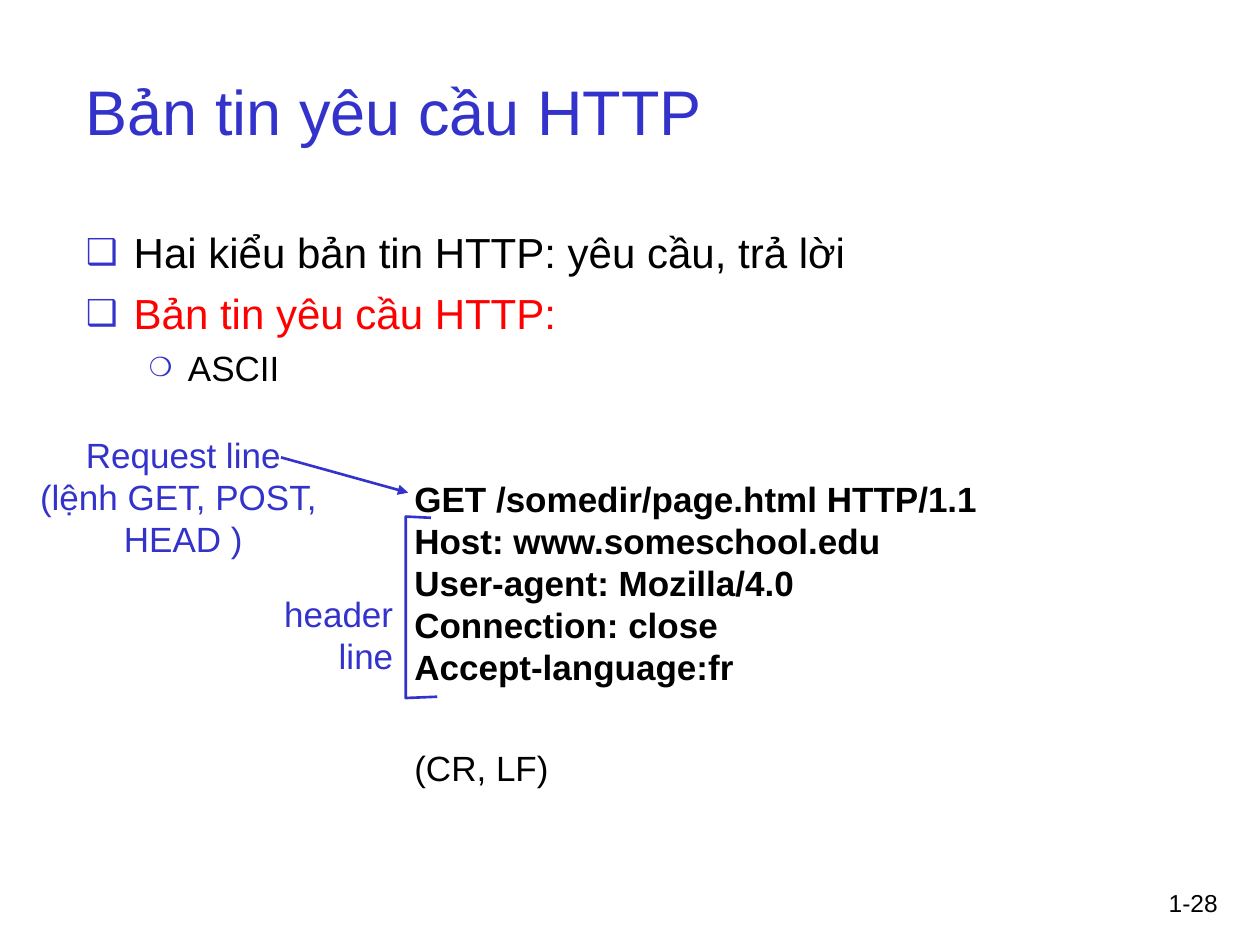
import dataclasses

import lxml.etree
import pptx
import pptx.dml.color
import pptx.enum.shapes
import pptx.enum.text
import pptx.oxml.ns
import pptx.util

ALIGN = pptx.enum.text.PP_ALIGN
ANCHOR = pptx.enum.text.MSO_ANCHOR


@dataclasses.dataclass(frozen=True)
class Theme:
    font: str = "Arial"
    ink: str = "000000"
    accent: str = "3333CC"
    alert: str = "FF0000"
    title: int = 36
    body: int = 24
    detail: int = 20
    footer: int = 14
    stroke: float = 1.5
    leading: float = 1.2


@dataclasses.dataclass
class Line:
    """One paragraph of text; bullet is (character, size %, indent, hanging)."""
    text: str
    size: int
    color: str
    bold: bool = False
    bullet: tuple = ()
    before: float = 0
    leading: float = 0


def rgb(color):
    return pptx.dml.color.RGBColor.from_string(color)


def add_child(parent, tag, **attributes):
    return lxml.etree.SubElement(parent, pptx.oxml.ns.qn(tag), **attributes)


class SlideBuilder:
    """Places elements on a grid of 120 columns by 90 rows."""
    columns, rows = 120, 90

    def __init__(self, deck, theme):
        self.theme = theme
        self.page = deck.slides.add_slide(deck.slide_layouts[6])
        self.column = deck.slide_width / self.columns
        self.row = deck.slide_height / self.rows

    def point(self, x, y):
        return round(x * self.column), round(y * self.row)

    def text(self, place, lines, align=ALIGN.LEFT, anchor=ANCHOR.TOP, wrap=True):
        left, top, width, height = place
        box = self.page.shapes.add_textbox(*self.point(left, top), *self.point(width, height))
        frame = box.text_frame
        frame.word_wrap = wrap
        frame.vertical_anchor = anchor
        for index, line in enumerate(lines):
            para = frame.paragraphs[0] if index == 0 else frame.add_paragraph()
            if line.bullet:
                self.bullet(para, *line.bullet)
            para.alignment = align
            para.space_before = pptx.util.Pt(line.before)
            para.line_spacing = pptx.util.Pt(line.leading or line.size * self.theme.leading)
            span = para.add_run()
            span.text = line.text
            span.font.name = self.theme.font
            span.font.size = pptx.util.Pt(line.size)
            span.font.bold = line.bold
            span.font.color.rgb = rgb(line.color)

    def bullet(self, para, character, percent, indent, hanging):
        properties = para._p.get_or_add_pPr()
        properties.set("marL", str(pptx.util.Inches(indent)))
        properties.set("indent", str(-pptx.util.Inches(hanging)))
        color = add_child(properties, "a:buClr")
        add_child(color, "a:srgbClr", val=self.theme.accent)
        add_child(properties, "a:buSzPct", val=str(percent * 1000))
        add_child(properties, "a:buFont", typeface=self.theme.font)
        add_child(properties, "a:buChar", char=character)

    def stroke(self, shape):
        shape.line.color.rgb = rgb(self.theme.accent)
        shape.line.width = pptx.util.Pt(self.theme.stroke)

    def arrow(self, start, end):
        straight = pptx.enum.shapes.MSO_CONNECTOR.STRAIGHT
        arrow = self.page.shapes.add_connector(straight, *self.point(*start), *self.point(*end))
        self.stroke(arrow)
        add_child(arrow.line._get_or_add_ln(), "a:tailEnd", type="triangle")
        add_child(arrow._element.spPr, "a:effectLst")

    def outline(self, points):
        start, *others = [self.point(*corner) for corner in points]
        builder = self.page.shapes.build_freeform(*start)
        builder.add_line_segments(others, close=False)
        outline = builder.convert_to_shape()
        outline.fill.background()
        outline.shadow.inherit = False
        self.stroke(outline)


def main():
    deck = pptx.Presentation()
    deck.slide_width = pptx.util.Inches(10)
    deck.slide_height = pptx.util.Inches(7.5)
    theme = Theme()
    slide = SlideBuilder(deck, theme)

    slide.text((109, 84, 8.16, 6), [Line("1-28", theme.footer, theme.ink)], ALIGN.RIGHT)
    slide.text((7, 3, 102, 15), [Line("Bản tin yêu cầu HTTP", theme.title, theme.accent)],
               anchor=ANCHOR.MIDDLE)

    square, circle = ("❑", 85, 0.38, 0.38), ("❍", 75, 0.81, 0.31)
    slide.text((7, 21, 102, 61), [
        Line("Hai kiểu bản tin HTTP: yêu cầu, trả lời", theme.body, theme.ink, bullet=square),
        Line("Bản tin yêu cầu HTTP:", theme.body, theme.alert, bullet=square, before=6),
        Line("ASCII", theme.detail, theme.ink, bullet=circle, before=5),
    ])

    request = [
        "GET /somedir/page.html HTTP/1.1",
        "Host: www.someschool.edu",
        "User-agent: Mozilla/4.0",
        "Connection: close",
        "Accept-language:fr",
    ]
    message = [Line(text, theme.detail, theme.ink, bold=True) for text in request]
    gap = theme.body * theme.leading
    message.append(Line("(CR, LF)", theme.detail, theme.ink, before=gap, leading=gap))
    slide.text((38.28, 44.88, 56.04, 30.84), message, wrap=False)

    def label(place, texts, align):
        lines = [Line(text, theme.detail, theme.accent) for text in texts]
        slide.text(place, lines, align, wrap=False)

    label((2.28, 40.68, 30.36, 13.2), ["Request line", "(lệnh GET, POST, ", "HEAD )"],
          ALIGN.CENTER)
    slide.arrow((26.76, 43.56), (38.88, 46.92))
    slide.outline([(41.04, 49.32), (38.64, 49.2), (38.64, 66.48), (41.64, 66.36)])
    label((25.14, 55.8, 13.5, 9.24), ["header", "line"], ALIGN.RIGHT)

    deck.save("out.pptx")


if __name__ == "__main__":
    main()
